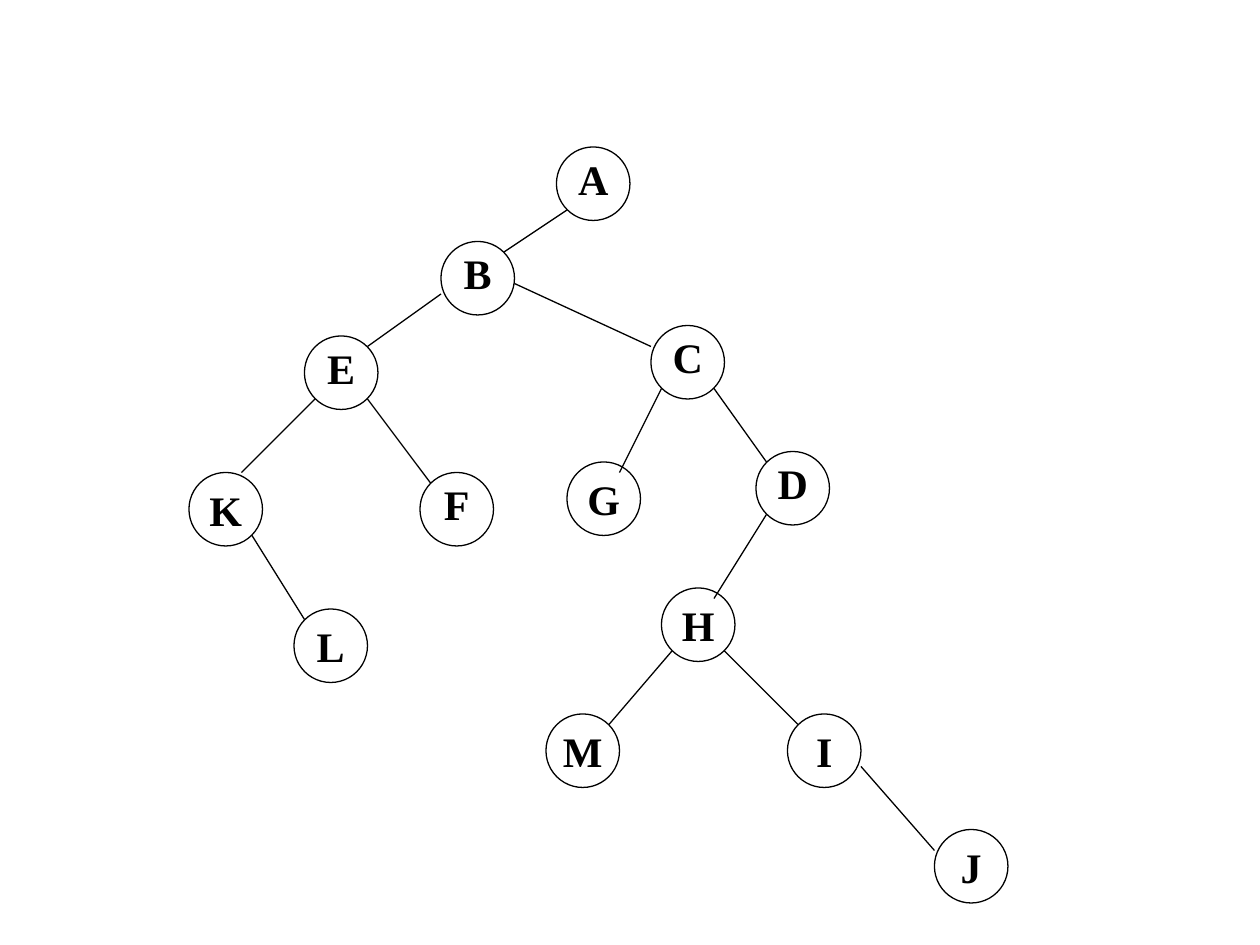
"""Build a slide with a binary tree of lettered nodes."""
from lxml import etree
from pptx import Presentation
from pptx.dml.color import RGBColor
from pptx.enum import shapes, text
from pptx.oxml import ns
from pptx.util import Pt

COLORS = {"ink": "000000"}
FONT = "Times New Roman"
SIZE = 42

NODES = {
    "A": (318, 84), "B": (252, 138), "E": (174, 192), "C": (372, 186),
    "J": (534, 474), "D": (432, 258), "K": (108, 270), "I": (450, 408),
    "G": (324, 264), "M": (312, 408), "H": (378, 336), "F": (240, 270),
    "L": (168, 348),
}
RAISED = "ABCDEF"

EDGES = [
    (324, 120, 288, 144), (252, 168, 210, 198), (180, 228, 138, 270),
    (144, 306, 174, 354), (210, 228, 246, 276), (294, 162, 372, 198),
    (378, 222, 354, 270), (408, 222, 438, 264), (438, 294, 408, 342),
    (384, 372, 348, 414), (414, 372, 456, 414), (492, 438, 534, 486),
]


def ink():
    return RGBColor.from_string(COLORS["ink"])


def stroke(line):
    line.color.rgb = ink()
    line.width = Pt(0.75)


def add_node(slide, name, left, top):
    node = slide.shapes.add_shape(
        shapes.MSO_SHAPE.OVAL, Pt(left), Pt(top), Pt(SIZE), Pt(SIZE))
    node.shadow.inherit = False
    node.fill.background()
    stroke(node.line)
    frame = node.text_frame
    frame.word_wrap = False
    frame.vertical_anchor = text.MSO_ANCHOR.MIDDLE
    frame.margin_left = frame.margin_right = frame.margin_top = 0
    frame.margin_bottom = Pt(6 if name in RAISED else 0)
    para = frame.paragraphs[0]
    para.text = name
    para.alignment = text.PP_ALIGN.CENTER
    font = para.font
    font.name, font.size, font.bold = FONT, Pt(24), True
    font.color.rgb = ink()


def add_edge(slide, ends):
    edge = slide.shapes.add_connector(
        shapes.MSO_CONNECTOR.STRAIGHT, *map(Pt, ends))
    stroke(edge.line)
    etree.SubElement(edge._element.spPr, ns.qn("a:effectLst"))


def main():
    deck = Presentation()
    deck.slide_width, deck.slide_height = Pt(720), Pt(540)
    slide = deck.slides.add_slide(deck.slide_layouts[6])
    for name, spot in NODES.items():
        add_node(slide, name, *spot)
    for ends in EDGES:
        add_edge(slide, ends)
    deck.save("out.pptx")


if __name__ == "__main__":
    main()
